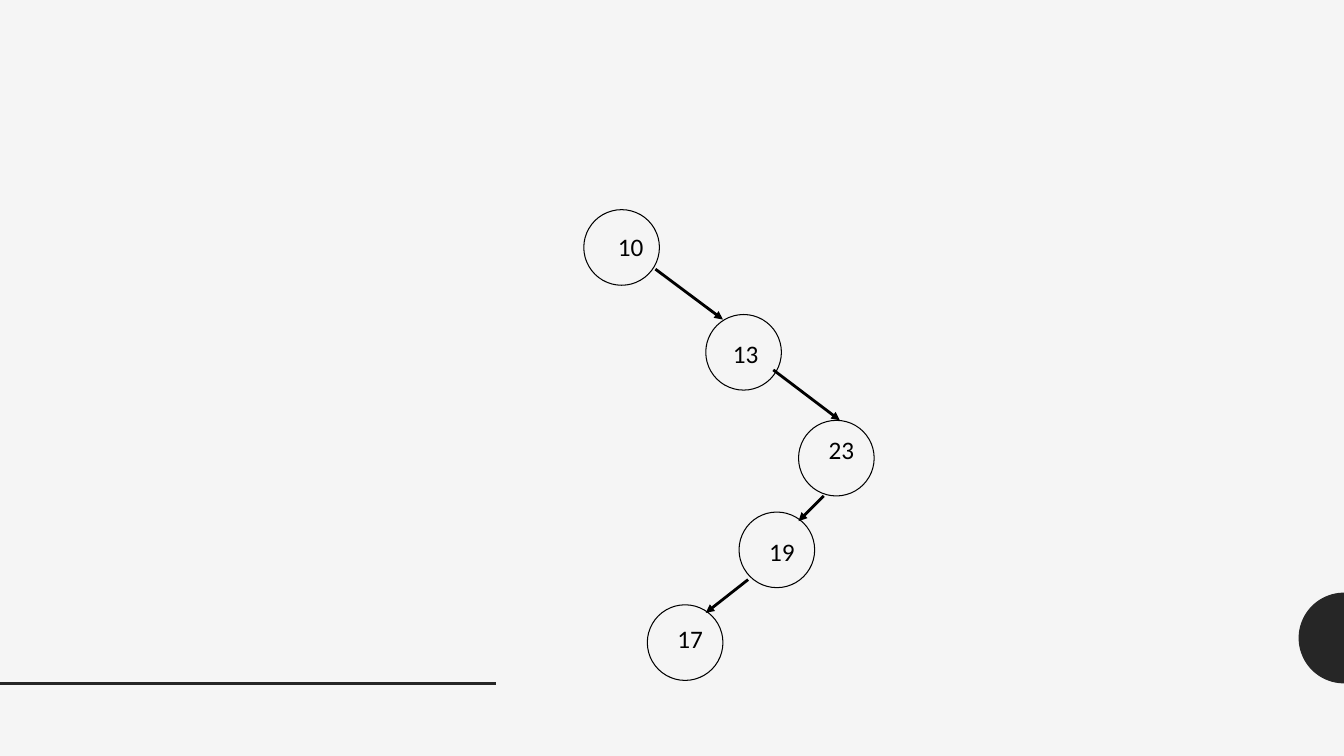
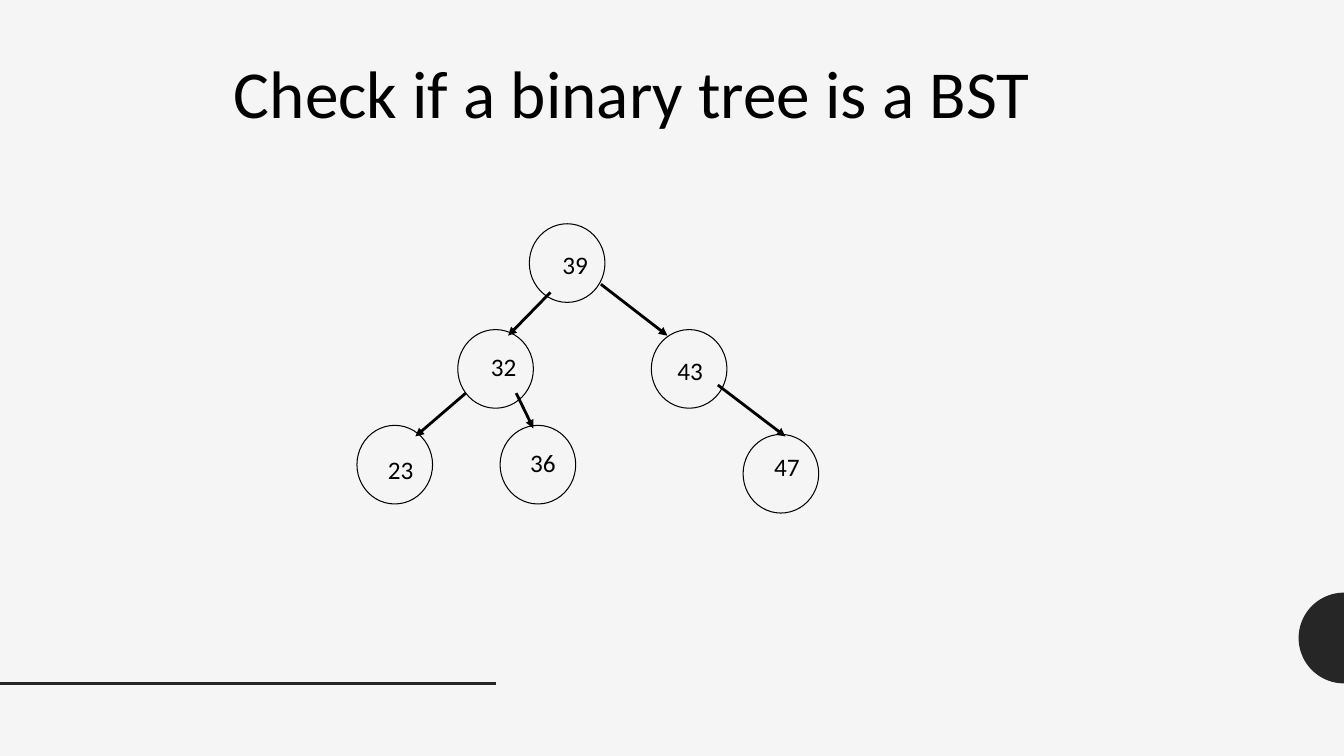
from collections import namedtuple
from math import cos, pi, sin

from lxml.etree import SubElement
from pptx import Presentation
from pptx.dml.color import RGBColor
from pptx.enum.shapes import MSO_CONNECTOR as Connector, MSO_SHAPE as Preset
from pptx.enum.text import MSO_ANCHOR as Anchor, MSO_AUTO_SIZE as AutoSize, PP_ALIGN as Align
from pptx.oxml.ns import qn
from pptx.util import Inches, Pt

Box = namedtuple("Box", "left top width height")
Node = namedtuple("Node", "value left top label_dx label_dy")

FONT = "Calibri"
PAPER, INK, ACCENT = "F5F5F5", "000000", "262626"
PAGE_WIDTH, PAGE_HEIGHT = 13.33, 7.5
TITLE_ONLY, BLANK = 5, 6

CHAIN_NODES = [
    Node("10", 0, 0, 0.24, 0.17),
    Node("13", 1.21, 1.04, 0.17, 0.19),
    Node("23", 2.13, 2.09, 0.2, 0.09),
    Node("19", 1.54, 3, 0.2, 0.19),
    Node("17", 0.63, 3.92, 0.2, 0.13),
]
CHAIN_ARROWS = [
    ((0.71, 0.59), (1.38, 1.09)),
    ((1.88, 1.59), (2.54, 2.09)),
    ((2.38, 2.84), (2.13, 3.09)),
    ((1.63, 3.67), (1.21, 4)),
]
TREE_NODES = [
    Node("39", 1.71, 0, 0.23, 0.2),
    Node("32", 1, 1.05, 0.23, 0.17),
    Node("43", 2.92, 1.05, 0.16, 0.21),
    Node("23", 0, 2, 0.21, 0.24),
    Node("36", 1.42, 2, 0.2, 0.17),
    Node("47", 3.83, 2.09, 0.21, 0.12),
]
TREE_ARROWS = [
    ((1.92, 0.68), (1.5, 1.11)),
    ((2.42, 0.6), (3.08, 1.11)),
    ((1.08, 1.68), (0.58, 2.11)),
    ((1.58, 1.68), (1.75, 2.03)),
    ((3.58, 1.6), (4.25, 2.11)),
]


def color(value):
    """Turn a hex string into a colour."""
    return RGBColor.from_string(value)


def place(shape, box):
    """Move and size a shape to a box in inches."""
    shape.left, shape.top, shape.width, shape.height = map(Inches, box)


def write(shape, text, size):
    """Set left-aligned text at the top of a shape."""
    frame = shape.text_frame
    frame.text = text
    frame.word_wrap = True
    frame.auto_size = AutoSize.NONE
    frame.vertical_anchor = Anchor.TOP
    para = frame.paragraphs[0]
    para.alignment = Align.LEFT
    for span in para.runs:
        span.font.name = FONT
        span.font.size = Pt(size)
        span.font.color.rgb = color(INK)


def add_line(page, start, end, ink, arrow=False):
    """Draw a straight line between two points, with an optional arrowhead."""
    line = page.shapes.add_connector(Connector.STRAIGHT, *map(Inches, (*start, *end)))
    line.line.color.rgb = color(ink)
    line.line.width = Pt(2)
    properties = line.element.spPr
    if arrow:
        SubElement(properties.find(qn("a:ln")), qn("a:tailEnd"), type="triangle")
    SubElement(properties, qn("a:effectLst"))
    return line


def add_half_disc(page, box, steps=48):
    """Draw a half disc whose flat side is the right edge of the box."""
    middle = box.top + box.height / 2
    angles = [pi * step / steps for step in range(steps + 1)]
    points = [
        (Inches(box.left + box.width * (1 - sin(angle))),
         Inches(middle - box.height / 2 * cos(angle)))
        for angle in angles
    ]
    builder = page.shapes.build_freeform(*points[0])
    builder.add_line_segments(points[1:], close=True)
    disc = builder.convert_to_shape()
    disc.shadow.inherit = False
    disc.fill.solid()
    disc.fill.fore_color.rgb = color(ACCENT)
    disc.line.fill.background()
    return disc


def dress_master(deck, page):
    """Give the master its background, half disc and footer rule."""
    master = deck.slide_master
    master.background.fill.solid()
    master.background.fill.fore_color.rgb = color(PAPER)
    disc = add_half_disc(page, Box(PAGE_WIDTH - 0.45, 5.88, 0.45, 0.9))
    rule = add_line(page, (0, 6.78), (4.92, 6.78), ACCENT)
    for shape in (disc, rule):
        master.shapes.element.append(shape.element)


def add_node(page, node, box):
    """Draw a node circle and its number."""
    circle = page.shapes.add_shape(Preset.OVAL, *map(Inches, box))
    circle.shadow.inherit = False
    circle.fill.background()
    circle.line.color.rgb = color(INK)
    circle.line.width = Pt(0.75)
    label_box = Box(box.left + node.label_dx, box.top + node.label_dy, 0.5, 0.4)
    label = page.shapes.add_textbox(*map(Inches, label_box))
    write(label, node.value, 18)


def add_tree(page, box, nodes, arrows, node_height):
    """Draw nodes and arrows relative to the corner of the box."""
    for node in nodes:
        node_box = Box(box.left + node.left, box.top + node.top, 0.75, node_height)
        add_node(page, node, node_box)
    for arrow in arrows:
        start, end = [(box.left + x, box.top + y) for x, y in arrow]
        add_line(page, start, end, INK, arrow=True)


def add_title(page, text, box):
    """Fill and place the title placeholder."""
    title = page.shapes.title
    place(title, box)
    write(title, text, 48)


def build():
    """Build and save the deck."""
    deck = Presentation()
    deck.slide_width, deck.slide_height = Inches(PAGE_WIDTH), Inches(PAGE_HEIGHT)

    chain_page = deck.slides.add_slide(deck.slide_layouts[BLANK])
    dress_master(deck, chain_page)
    add_tree(chain_page, Box(5.79, 2.08, 2.88, 4.67), CHAIN_NODES, CHAIN_ARROWS, 0.75)

    tree_page = deck.slides.add_slide(deck.slide_layouts[TITLE_ONLY])
    add_title(tree_page, "Check if a binary tree is a BST", Box(2.22, 0.46, 9.15, 0.91))
    add_tree(tree_page, Box(3.54, 2.22, 4.58, 2.87), TREE_NODES, TREE_ARROWS, 0.78)

    deck.save("out.pptx")


build()
